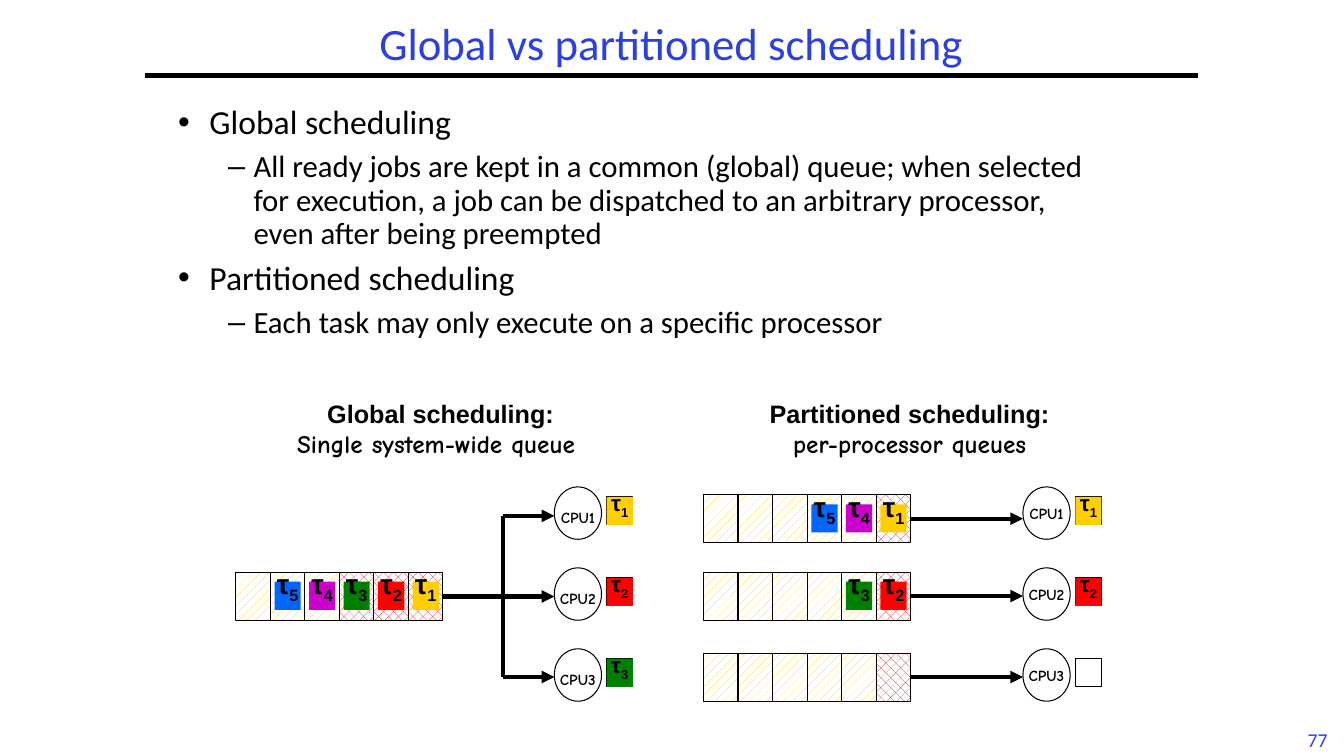
from lxml import etree
from pptx import Presentation
from pptx import util as u
from pptx.dml.color import RGBColor
from pptx.enum import dml, shapes, text
from pptx.oxml import ns

COLOURS = {
    "black": "000000", "white": "FFFFFF", "blue": "2A40E2",
    "yellow": "FFCF01", "red": "FF0000", "green": "008000",
    "purple": "CC00CC", "sky": "0066FF",
}
JOB_COLOURS = {1: "yellow", 2: "red", 3: "green", 4: "purple", 5: "sky"}
BODY = [
    (0, "Global scheduling"),
    (1, "All ready jobs are kept in a common (global) queue; when selected for "
        "execution, a job can be dispatched to an arbitrary processor, even after "
        "being preempted"),
    (0, "Partitioned scheduling"),
    (1, "Each task may only execute on a specific processor"),
]
# Bullet, text size, left margin and hanging indent in cm for each level
LEVELS = [("•", 24, 0.79, 0.79), ("–", 22, 1.9, 0.64)]

# Lengths in cm
CELLS, CELL_WIDTH, CELL_HEIGHT = 6, 0.87, 1.21
JOB_WIDTH, JOB_HEIGHT = 0.66, 0.71
CPU_TOP, CPU_PITCH = 12.27, 2.04


def colour(name):
    return RGBColor.from_string(COLOURS[name])


def write(paragraph, words, size=18, font="Arial", ink="black", bold=False,
          align=text.PP_ALIGN.CENTER, baseline=None):
    """Add a formatted run to a paragraph."""
    paragraph.alignment = align
    run = paragraph.add_run()
    run.text = words
    run.font.size = u.Pt(size)
    run.font.name = font
    run.font.bold = bold
    run.font.color.rgb = colour(ink)
    if baseline:
        run._r.get_or_add_rPr().set("baseline", str(baseline))


class SchedulingSlide:
    def __init__(self, presentation):
        self.slide = presentation.slides.add_slide(presentation.slide_layouts[5])
        self.canvas = self.slide.shapes

    def start_group(self):
        self.canvas = self.slide.shapes.add_group_shape().shapes

    def end_group(self):
        self.canvas = self.slide.shapes

    def title(self, words, left, top, width, height):
        shape = self.slide.shapes.title
        shape.left, shape.top = u.Cm(left), u.Cm(top)
        shape.width, shape.height = u.Cm(width), u.Cm(height)
        frame = shape.text_frame
        frame.auto_size = text.MSO_AUTO_SIZE.NONE
        frame.vertical_anchor = text.MSO_ANCHOR.MIDDLE
        frame.paragraphs[0].line_spacing = 0.9
        write(frame.paragraphs[0], words, size=32, font="Calibri", ink="blue")

    def textbox(self, left, top, width, height, wrap=False):
        shape = self.canvas.add_textbox(u.Cm(left), u.Cm(top), u.Cm(width), u.Cm(height))
        shape.text_frame.word_wrap = wrap
        return shape.text_frame

    def bullets(self, items, left, top, width, height):
        frame = self.textbox(left, top, width, height, wrap=True)
        for index, (level, words) in enumerate(items):
            mark, size, margin, hanging = LEVELS[level]
            paragraph = frame.add_paragraph() if index else frame.paragraphs[0]
            paragraph.level = level
            paragraph.line_spacing = 0.9
            paragraph.space_before = u.Pt(0.3 * size if index else 0)
            write(paragraph, words, size=size, font="Calibri", align=text.PP_ALIGN.LEFT)
            properties = paragraph._p.get_or_add_pPr()
            properties.set("marL", str(u.Cm(margin)))
            properties.set("indent", str(-u.Cm(hanging)))
            etree.SubElement(properties, ns.qn("a:buFont")).set("typeface", "Arial")
            etree.SubElement(properties, ns.qn("a:buChar")).set("char", mark)

    def caption(self, heading, detail, left, top, width, height):
        frame = self.textbox(left, top, width, height)
        write(frame.paragraphs[0], heading, bold=True)
        write(frame.add_paragraph(), detail, font="Comic Neue", bold=True)

    def line(self, x1, y1, x2, y2, arrow=False):
        connector = self.canvas.add_connector(
            shapes.MSO_CONNECTOR.STRAIGHT, u.Cm(x1), u.Cm(y1), u.Cm(x2), u.Cm(y2))
        connector.line.color.rgb = colour("black")
        connector.line.width = u.Pt(3)
        if arrow:
            outline = connector.line._get_or_add_ln()
            etree.SubElement(outline, ns.qn("a:tailEnd")).set("type", "triangle")
        etree.SubElement(connector._element.spPr, ns.qn("a:effectLst"))

    def shape(self, kind, left, top, width, height, fill="white", pattern=None,
              outlined=True, anchor=text.MSO_ANCHOR.BOTTOM):
        shape = self.canvas.add_shape(kind, u.Cm(left), u.Cm(top), u.Cm(width), u.Cm(height))
        shape.shadow.inherit = False
        if pattern:
            shape.fill.patterned()
            shape.fill.pattern = pattern
            shape.fill.fore_color.rgb = colour(fill)
            shape.fill.back_color.rgb = colour("white")
        else:
            shape.fill.solid()
            shape.fill.fore_color.rgb = colour(fill)
        if outlined:
            shape.line.color.rgb = colour("black")
            shape.line.width = u.Pt(0.75)
        else:
            shape.line.fill.background()
        shape.text_frame.word_wrap = False
        shape.text_frame.vertical_anchor = anchor
        return shape.text_frame.paragraphs[0]

    def job(self, number, left, top, size):
        paragraph = self.shape(shapes.MSO_SHAPE.RECTANGLE, left, top, JOB_WIDTH, JOB_HEIGHT,
                               fill=JOB_COLOURS[number], outlined=False)
        write(paragraph, "τ", size=size, bold=True)
        write(paragraph, str(number), size=size, bold=True, baseline=-25000)

    def queue(self, left, top, jobs, heads):
        """Draw a queue with its jobs at the right end; the last cells are heads."""
        for cell in range(CELLS):
            is_head = cell >= CELLS - heads
            self.shape(
                shapes.MSO_SHAPE.RECTANGLE, left + cell * CELL_WIDTH, top,
                CELL_WIDTH, CELL_HEIGHT, fill="red" if is_head else "yellow",
                pattern=(dml.MSO_PATTERN.PERCENT_30 if is_head
                         else dml.MSO_PATTERN.PERCENT_20))
        for cell, number in enumerate(jobs, start=CELLS - len(jobs)):
            self.job(number, left + cell * CELL_WIDTH + 0.11, top + 0.24, size=20)

    def processors(self, left, running, anchor):
        """Draw the column of CPUs, each with the job it runs."""
        for row, number in enumerate(running):
            top = CPU_TOP + row * CPU_PITCH
            paragraph = self.shape(shapes.MSO_SHAPE.OVAL, left, top, 1.19, 1.32, anchor=anchor)
            write(paragraph, f"CPU{row + 1}", size=11, font="Comic Neue", bold=True)
            slot = left + 1.32, top + 0.25
            self.shape(shapes.MSO_SHAPE.RECTANGLE, *slot, JOB_WIDTH, JOB_HEIGHT)
            if number:
                self.job(number, *slot, size=16)


def main():
    presentation = Presentation()
    presentation.slide_width, presentation.slide_height = u.Cm(33.87), u.Cm(19.05)
    slide = SchedulingSlide(presentation)

    # Heading, rule, page number and body
    slide.title("Global vs partitioned scheduling", 3.66, 0.43, 26.52, 1.47)
    slide.line(3.66, 1.9, 30.2, 1.9)
    page = slide.textbox(32.66, 18.21, 1.09, 0.84)
    write(page.paragraphs[0], "77", size=14, font="Calibri", ink="blue")
    slide.bullets(BODY, 4.24, 2.54, 23.93, 14.48)

    # Global scheduling: one queue feeds all processors
    queue_left, queue_top, stem, cpu_left = 5.94, 14.42, 12.67, 13.97
    arrow_rows = [13 + row * 2.03 for row in range(3)]
    slide.start_group()
    slide.processors(cpu_left, [1, 2, 3], text.MSO_ANCHOR.BOTTOM)
    for row, y in enumerate(arrow_rows):
        start = queue_left + CELLS * CELL_WIDTH if row == 1 else stem
        slide.line(start, y, cpu_left, y, arrow=True)
    slide.line(stem, arrow_rows[0], stem, arrow_rows[-1])
    slide.queue(queue_left, queue_top, [5, 4, 3, 2, 1], heads=3)
    slide.end_group()

    # Partitioned scheduling: one queue for each processor
    queue_left, cpu_left = 17.73, 25.78
    slide.start_group()
    slide.processors(cpu_left, [1, 2, None], text.MSO_ANCHOR.MIDDLE)
    for top, jobs in [(12.47, [5, 4, 1]), (14.42, [3, 2]), (16.46, [])]:
        slide.queue(queue_left, top, jobs, heads=1)
        slide.line(queue_left + CELLS * CELL_WIDTH, top + 0.6, cpu_left, top + 0.6, arrow=True)
    slide.end_group()

    # Captions
    slide.caption("Global scheduling:", "Single system-wide queue ", 6.71, 9.91, 8.79, 1.8)
    slide.caption("Partitioned scheduling:", "per-processor queues", 19.1, 9.91, 7.65, 1.8)

    presentation.save("out.pptx")


if __name__ == "__main__":
    main()
